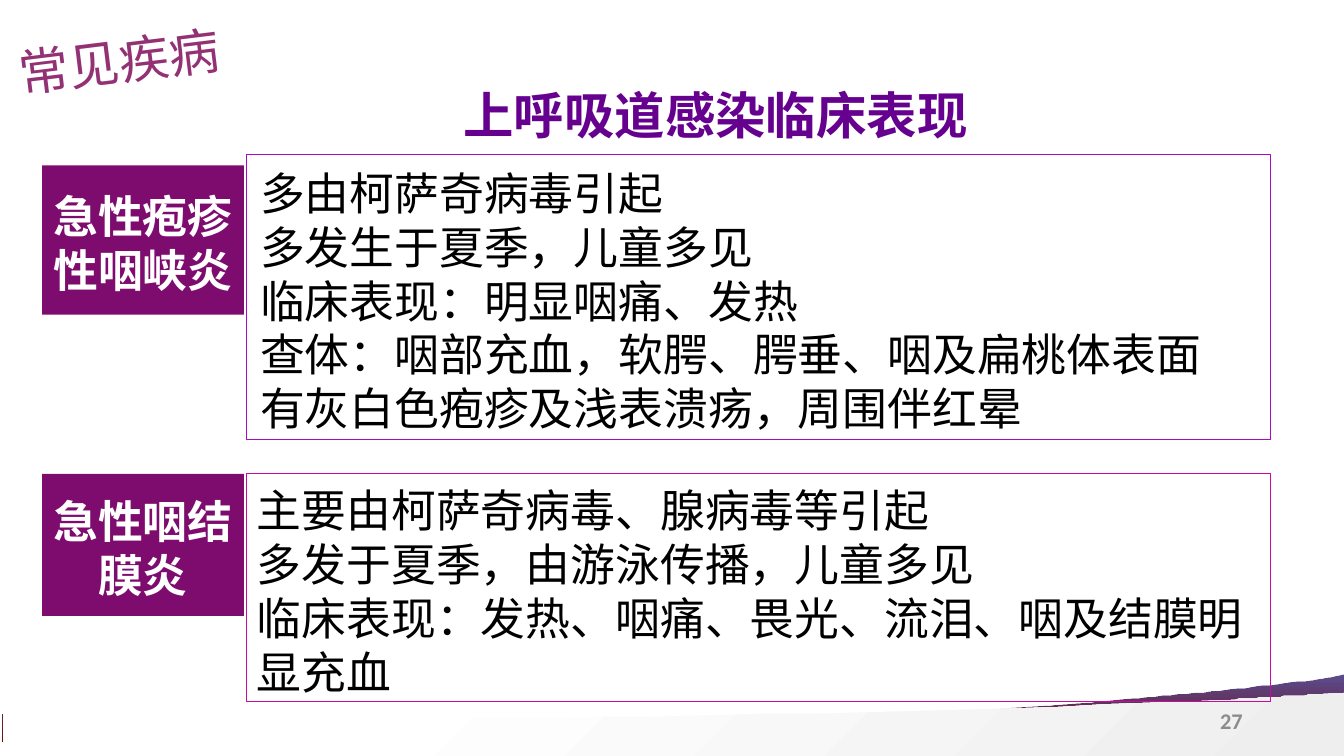
from lxml.etree import SubElement
from pptx import Presentation
from pptx.dml.color import RGBColor
from pptx.enum.shapes import MSO_SHAPE as Preset
from pptx.enum.text import MSO_ANCHOR as Anchor, PP_ALIGN as Align
from pptx.oxml.ns import qn
from pptx.util import Pt

COLORS = {
    "title": "66008F", "corner": "933175", "label": "7E0C6E", "white": "FFFFFF",
    "text": "000000", "number": "8C8C8C", "herpes": "A70BC1", "conjunctiva": "C80BA0",
    "wave_red": "720808", "wave_blue": "342275", "wave_gray": "EEEEEE",
}
SANS, SANS_BODY = "Noto Sans CJK SC", "Noto Sans CJK JP"
LINE_PITCH = 38.4

# Label, frame colour, label box, frame box, side and top insets, lines
DISEASES = [
    ("急性疱疹性咽峡炎", "herpes", (30.2, 118.1, 144, 106.6), (176.4, 110.5, 731.5, 203.8),
     (9.4, 8),
     ["多由柯萨奇病毒引起", "多发生于夏季，儿童多见", "临床表现：明显咽痛、发热",
      "查体：咽部充血，软腭、腭垂、咽及扁桃体表面", "有灰白色疱疹及浅表溃疡，周围伴红晕"]),
    ("急性咽结膜炎", "conjunctiva", (30.2, 338.4, 144, 101.5), (176.4, 338.4, 731.5, 162.7),
     (7.2, 6.6),
     ["主要由柯萨奇病毒、腺病毒等引起", "多发于夏季，由游泳传播，儿童多见",
      "临床表现：发热、咽痛、畏光、流泪、咽及结膜明显充血"]),
]


def color(name):
    return RGBColor.from_string(COLORS[name])


def lengths(box):
    return [Pt(value) for value in box]


def write(shape, lines, size, font_name, color_name, bold=False, align=Align.LEFT,
          anchor=Anchor.MIDDLE, insets=(7.2, 3.6, 7.2, 3.6), pitch=None):
    """Fill a shape with one paragraph per line."""
    frame = shape.text_frame
    frame.word_wrap = True
    frame.vertical_anchor = anchor
    (frame.margin_left, frame.margin_top,
     frame.margin_right, frame.margin_bottom) = lengths(insets)
    for index, line in enumerate(lines):
        paragraph = frame.paragraphs[0] if index == 0 else frame.add_paragraph()
        paragraph.alignment = align
        if pitch:
            paragraph.line_spacing = Pt(pitch)
        run = paragraph.add_run()
        run.text = line
        font = run.font
        font.size, font.bold, font.name = Pt(size), bold, font_name
        font.color.rgb = color(color_name)
        east_asian = font_name if font_name.startswith("Noto") else SANS
        SubElement(run._r.get_or_add_rPr(), qn("a:ea"), typeface=east_asian)


def curve(start, first, second, end, steps=24):
    """Points along a cubic curve, without its start."""
    points = []
    for step in range(1, steps + 1):
        t = step / steps
        weights = ((1 - t) ** 3, 3 * t * (1 - t) ** 2, 3 * t * t * (1 - t), t ** 3)
        points.append(tuple(sum(weight * point[axis] for weight, point in
                                zip(weights, (start, first, second, end)))
                            for axis in (0, 1)))
    return points


def add_wave(slide, box, outline, stops, angle):
    left, top = box[:2]
    points = [(left + x, top + y) for x, y in outline]
    builder = slide.shapes.build_freeform(*points[0], scale=Pt(1))
    builder.add_line_segments(points[1:], close=True)
    shape = builder.convert_to_shape()
    shape.shadow.inherit = False
    shape.line.fill.background()
    shape.fill.gradient()
    shape.fill.gradient_angle = angle
    for stop, (position, name) in zip(shape.fill.gradient_stops, stops):
        stop.position = position
        stop.color.rgb = color(name)
    return shape


def add_footer(slide, box):
    """Two waves along the bottom edge and the slide number."""
    left, top, width, height = box
    # Coloured band
    bend = (805.6, 17)
    band = [(width, 0), (width, 47.2), (0, 47.2), (0, 27.8), (0.7, 27.8)]
    band += curve(band[-1], (216.7, 51.5), (589.6, 35), bend)
    band += curve(bend, (848.8, 13.4), (897.8, 8.3), (948.9, 1.8))
    shape = add_wave(slide, box, band, [(0, "wave_red"), (1, "wave_blue")], 90)
    blue = list(shape._element.iter(qn("a:srgbClr")))[-1]
    SubElement(blue, qn("a:alpha"), val="80000")
    # Pale ground
    bend = (877.6, 17.3)
    ground = [(width, 12.2), (width, height), (0, height), (0, 23.8), (31.6, 25.2)]
    ground += curve(ground[-1], (281.5, 36.7), (655.2, 27.4), bend)
    ground += curve(bend, (897.1, 15.8), (917.2, 15.1), (938.1, 13.7))
    add_wave(slide, box, ground, [(0.26, "white"), (1, "wave_gray")], 315)
    # Slide number
    number = slide.shapes.add_textbox(*lengths((left + 676, top + 18, 216, 28.8)))
    write(number, ["27"], 16, "Calibri", "number", True, Align.RIGHT,
          insets=(6.5, 3.6, 6.5, 3.6))


def add_heading(slide, title_box, corner_box):
    title = slide.shapes.title
    title.left, title.top, title.width, title.height = lengths(title_box)
    write(title, ["上呼吸道感染临床表现"], 36, "Arial", "title", True, Align.CENTER,
          insets=(7.2, 7, 7.2, 0))
    corner = slide.shapes.add_textbox(*lengths(corner_box))
    corner.rotation = 352.9
    write(corner, ["常见疾病"], 36, SANS, "corner")


def add_rectangle(slide, box):
    shape = slide.shapes.add_shape(Preset.RECTANGLE, *lengths(box))
    shape.shadow.inherit = False
    return shape


def add_disease(slide, name, frame_color, label_box, frame_box, insets, lines):
    # Name
    label = add_rectangle(slide, label_box)
    label.fill.solid()
    label.fill.fore_color.rgb = color("label")
    label.line.fill.background()
    write(label, [name], 32, SANS, "white", True, Align.CENTER,
          insets=(7.2, 7.2, 7.2, 3.6), pitch=LINE_PITCH)
    # Description
    frame = add_rectangle(slide, frame_box)
    frame.fill.background()
    frame.line.color.rgb = color(frame_color)
    frame.line.width = Pt(0.75)
    side, top = insets
    write(frame, lines, 32, SANS_BODY, "text", anchor=Anchor.TOP,
          insets=(side, top, side, 3.6), pitch=LINE_PITCH)


def main():
    presentation = Presentation()
    presentation.slide_width, presentation.slide_height = Pt(960), Pt(540)
    slide = presentation.slides.add_slide(presentation.slide_layouts[5])
    add_footer(slide, (2.2, 482.4, 957.8, 57.6))
    add_heading(slide, (293, 48.2, 436.3, 59.8), (5.8, 15.8, 183.6, 51.1))
    for disease in DISEASES:
        add_disease(slide, *disease)
    presentation.save("out.pptx")


if __name__ == "__main__":
    main()
